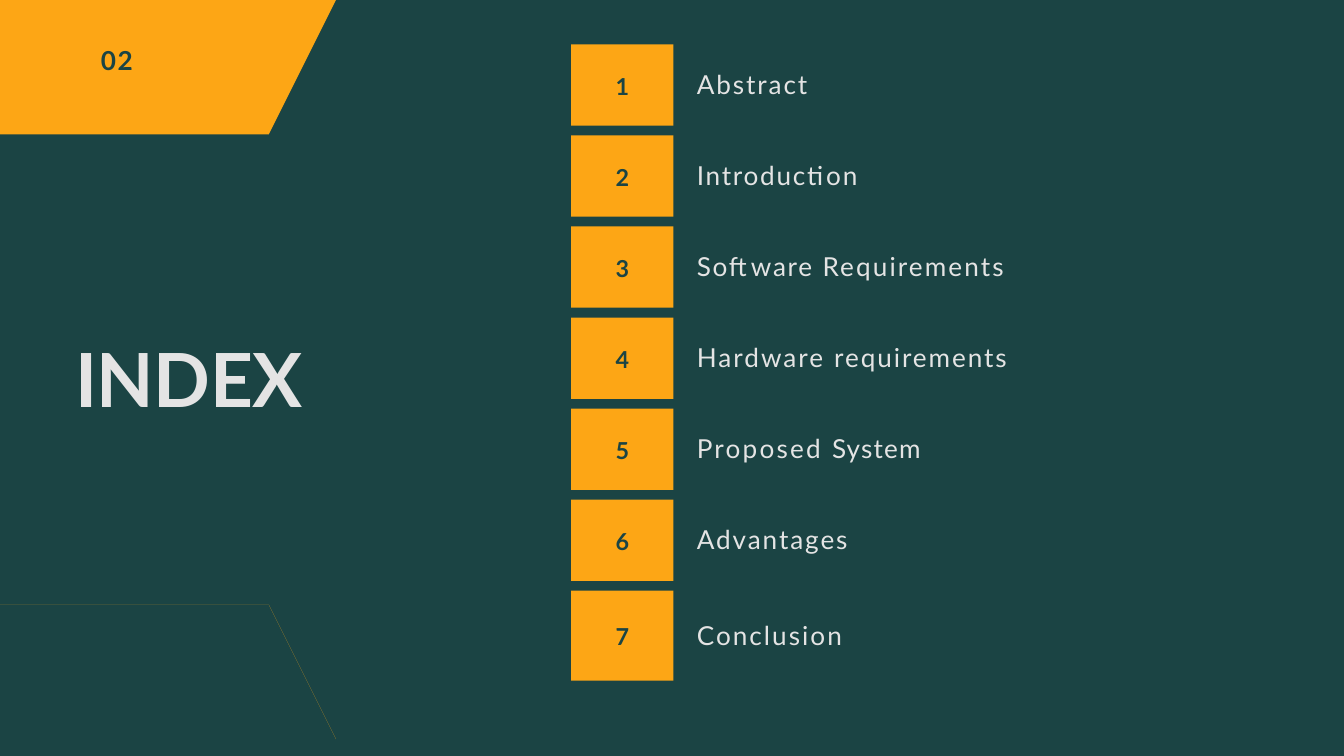
from pptx import Presentation, util as u
from pptx.dml.color import RGBColor
from pptx.enum import shapes, text

GREEN = RGBColor(0x1B, 0x44, 0x44)
ORANGE = RGBColor(0xFD, 0xA6, 0x15)
PALE = RGBColor(0xE4, 0xE4, 0xE4)
FONT = "Lato"

WIDTH, HEIGHT = 20, 11.25
ROW_LEFT, ROW_TOP, ROW_PITCH = 8.5, 0.66, 1.355
BOX_WIDTH, BOX_HEIGHT, LAST_BOX_HEIGHT = 1.52, 1.21, 1.34
LABEL_LEFT, LABEL_HEIGHT = 10.36, 0.49

ENTRIES = [
    (-5.7, 1.68, [("Abstract", 2.1)]),
    (-0.9, 2.47, [("Introduction", 1.9)]),
    (-2, 4.62, [("Software ", 1.9), ("Requirements", 2.3)]),
    (-0.1, 4.67, [("Hardware ", 2.2), ("requirements", 2.1)]),
    (-1.1, 3.39, [("Proposed ", 2.4), ("System", 1.3)]),
    (-0.1, 2.32, [("Advantages", 2.1)]),
    (-1.1, 2.18, [("Conclusion", 2.2)]),
]
TITLE = [("INDEX", -0.6)]
PAGE_NUMBER = [("0", 1.9), ("2", -0.9)]

TOP_BANNER = [(0, 0), (4.87, 0), (3.72, 2), (0.3, 2), (0.14, 1.99), (0, 1.97)]
BOTTOM_OUTLINE = [
    (0, 9.3), (0.2, 9.26), (0.41, 9.25), (4.01, 9.25), (5.17, 11.25),
    (5.14, 11.25), (4, 9.28), (0.41, 9.28), (0.2, 9.29), (0, 9.32),
]


def paint(shape):
    shape.fill.solid()
    shape.fill.fore_color.rgb = ORANGE
    shape.line.fill.background()
    shape.shadow.inherit = False


def add_outline(slide, points):
    builder = slide.shapes.build_freeform(*points[0], scale=u.Inches(1))
    builder.add_line_segments(points[1:], close=True)
    paint(builder.convert_to_shape())


def write(shape, pieces, size, color, bold=False, top=0.01):
    frame = shape.text_frame
    frame.margin_left = frame.margin_right = frame.margin_bottom = 0
    frame.margin_top = u.Inches(top)
    frame.word_wrap = False
    paragraph = frame.paragraphs[0]
    for words, spacing in pieces:
        run = paragraph.add_run()
        run.text = words
        run.font.name = FONT
        run.font.size = u.Pt(size)
        run.font.bold = bold
        run.font.color.rgb = color
        run.font._element.set("spc", str(round(spacing * 100)))
    return paragraph


def add_text(slide, place, pieces, size, color, bold=False, top=0.01):
    box = slide.shapes.add_textbox(*map(u.Inches, place))
    paragraph = write(box, pieces, size, color, bold, top)
    paragraph.space_before = u.Pt(1)
    paragraph._p.get_or_add_pPr().set("marL", str(u.Inches(0.01)))


def add_entry(slide, index, number_spacing, label_width, label):
    top = ROW_TOP + index * ROW_PITCH
    height = LAST_BOX_HEIGHT if index == len(ENTRIES) - 1 else BOX_HEIGHT
    place = (ROW_LEFT, top, BOX_WIDTH, height)
    box = slide.shapes.add_shape(shapes.MSO_SHAPE.RECTANGLE, *map(u.Inches, place))
    paint(box)
    number = write(box, [(str(index + 1), number_spacing)], 25, GREEN, True, 0.02)
    number.alignment = text.PP_ALIGN.CENTER
    box.text_frame.vertical_anchor = text.MSO_ANCHOR.MIDDLE
    label_top = top + (height - LABEL_HEIGHT) / 2 - 0.01
    add_text(slide, (LABEL_LEFT, label_top, label_width, LABEL_HEIGHT), label, 28, PALE)


def main():
    presentation = Presentation()
    presentation.slide_width = u.Inches(WIDTH)
    presentation.slide_height = u.Inches(HEIGHT)
    slide = presentation.slides.add_slide(presentation.slide_layouts[6])
    slide.background.fill.solid()
    slide.background.fill.fore_color.rgb = GREEN

    add_outline(slide, BOTTOM_OUTLINE)
    for index, entry in enumerate(ENTRIES):
        add_entry(slide, index, *entry)
    add_text(slide, (1.11, 4.94, 3.67, 1.36), TITLE, 80, PALE, True)
    add_outline(slide, TOP_BANNER)
    add_text(slide, (1.49, 0.64, 0.54, 0.5), PAGE_NUMBER, 28, GREEN, True, 0.02)
    presentation.save("out.pptx")


if __name__ == "__main__":
    main()
